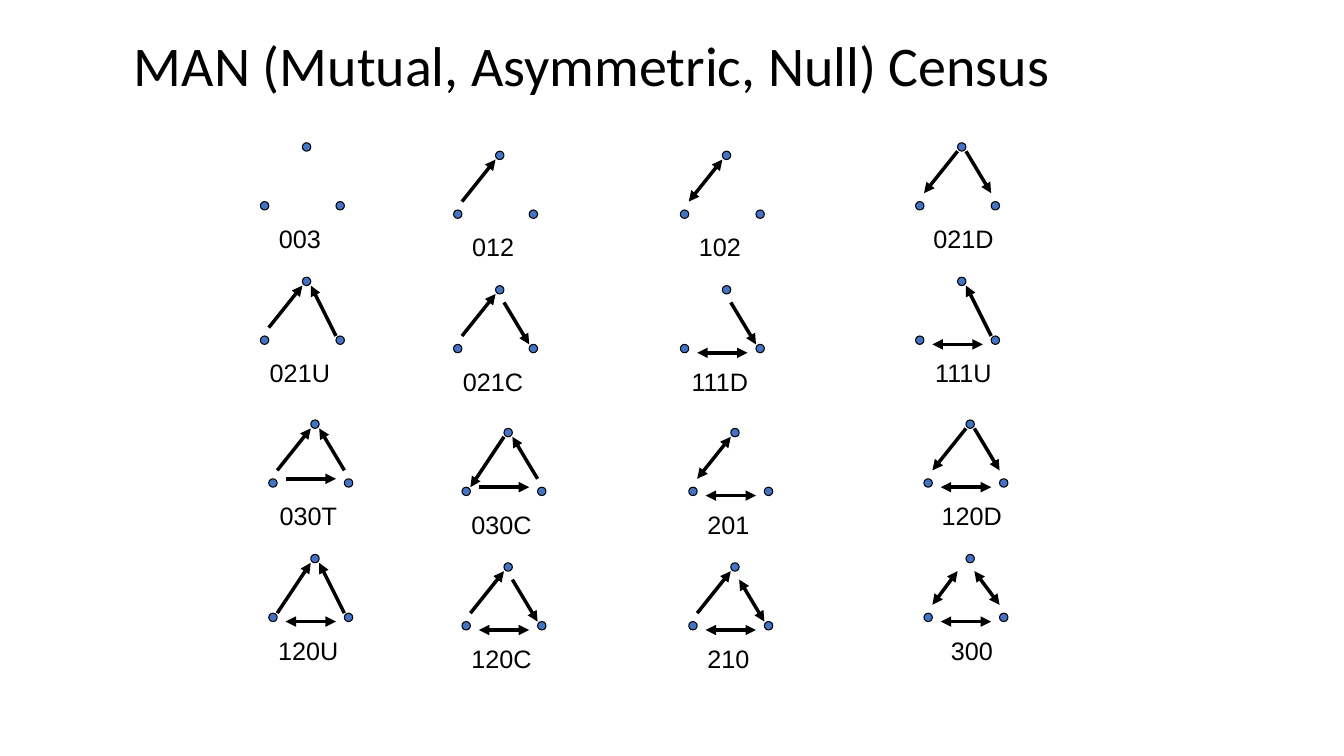
"""Draw the sixteen triads of the MAN census on a grid of twelfths of an inch."""
import lxml.etree
import pptx
import pptx.dml.color
import pptx.enum.shapes
import pptx.enum.text
import pptx.oxml.ns
import pptx.util

THEME = {
    "ink": pptx.dml.color.RGBColor.from_string("000000"),
    "node": pptx.dml.color.RGBColor.from_string("4472C4"),
    "title": {"font": "Calibri", "size": 40},
    "label": {"font": "Arial", "size": 18},
    "rim": pptx.util.Pt(0.75),
    "edge": pptx.util.Pt(2.5),
}
CELL = pptx.util.Inches(1) / 12
COLS = [(31, 0), (54, 1), (81, 1), (109, 0)]
ROWS = [(17, 0), (33, 0), (50, 1), (66, 1)]
NODES = [(9, 7), (0, 7), (5, 0)]
SIDES = {
    "left": (1, 6, 5, 1),
    "left-long": (1, 7, 5, 1),
    "left-short": (1, 6, 4, 2),
    "right": (9, 6, 6, 1),
    "right-long": (9, 7, 6, 1),
    "right-low": (9, 7, 6, 2),
    "right-short": (9, 6, 6, 2),
    "base": (2, 8, 8, 8),
    "base-high": (2, 7, 8, 7),
}
ENDS = {">": ["a:tailEnd"], "<": ["a:headEnd"], "=": ["a:headEnd", "a:tailEnd"]}
TRIADS = [
    [("003", ""), ("012", "left>"), ("102", "left="), ("021D", "left< right<")],
    [("021U", "left> right-long>"), ("021C", "left> right-low<"),
     ("111D", "right-low< base="), ("111U", "right-long> base=")],
    [("030T", "left> base-high> right>"), ("030C", "left-long< right> base-high>"),
     ("201", "left= base="), ("120D", "left< right< base=")],
    [("120U", "left-long> right-long> base="), ("120C", "left> right-low< base="),
     ("210", "left> right-low= base="), ("300", "left-short= right-short= base=")],
]


def cells(*spans):
    """Turn grid cells into lengths."""
    return [round(span * CELL) for span in spans]


def write(frame, text, font, size, align, space=None):
    """Put one formatted paragraph in a text frame."""
    para = frame.paragraphs[0]
    para.text = text
    para.alignment = align
    para.line_spacing = space
    para.font.name = font
    para.font.size = pptx.util.Pt(size)
    para.font.color.rgb = THEME["ink"]


deck = pptx.Presentation()
deck.slide_width, deck.slide_height = cells(160, 90)
slide = deck.slides.add_slide(deck.slide_layouts[5])
shapes = slide.shapes

title = shapes.title
title.left, title.top, title.width, title.height = cells(14.75, 3, 115.25, 10.4)
title.text_frame.auto_size = pptx.enum.text.MSO_AUTO_SIZE.NONE
title.text_frame.vertical_anchor = pptx.enum.text.MSO_ANCHOR.MIDDLE
write(title.text_frame, "MAN (Mutual, Asymmetric, Null) Census",
      align=pptx.enum.text.PP_ALIGN.LEFT, space=0.9, **THEME["title"])

for (top, shift), row in zip(ROWS, TRIADS):
    for col, (name, edges) in enumerate(row):
        x = COLS[col][0] + shift
        y = top + COLS[col][1]

        for dx, dy in NODES:
            node = shapes.add_shape(pptx.enum.shapes.MSO_SHAPE.OVAL,
                                    *cells(x + dx, y + dy, 1, 1))
            node.shadow.inherit = False
            node.fill.solid()
            node.fill.fore_color.rgb = THEME["node"]
            node.line.color.rgb = THEME["ink"]
            node.line.width = THEME["rim"]

        for edge in edges.split():
            ax, ay, bx, by = SIDES[edge[:-1]]
            wire = shapes.add_connector(pptx.enum.shapes.MSO_CONNECTOR.STRAIGHT,
                                        *cells(x + ax, y + ay, x + bx, y + by))
            wire.line.color.rgb = THEME["ink"]
            wire.line.width = THEME["edge"]
            props = wire.element.spPr
            line = props.find(pptx.oxml.ns.qn("a:ln"))
            for end in ENDS[edge[-1]]:
                lxml.etree.SubElement(line, pptx.oxml.ns.qn(end), type="triangle")
            lxml.etree.SubElement(props, pptx.oxml.ns.qn("a:effectLst"))

        width = 7.44 if name.isdigit() else 9.6
        mid = x + (5.7 if col == 3 else 4.7)
        label = shapes.add_textbox(*cells(mid - width / 2, y + 9, width, 4.8))
        label.text_frame.word_wrap = False
        label.text_frame.auto_size = pptx.enum.text.MSO_AUTO_SIZE.SHAPE_TO_FIT_TEXT
        write(label.text_frame, name, align=pptx.enum.text.PP_ALIGN.CENTER,
              **THEME["label"])

deck.save("out.pptx")
